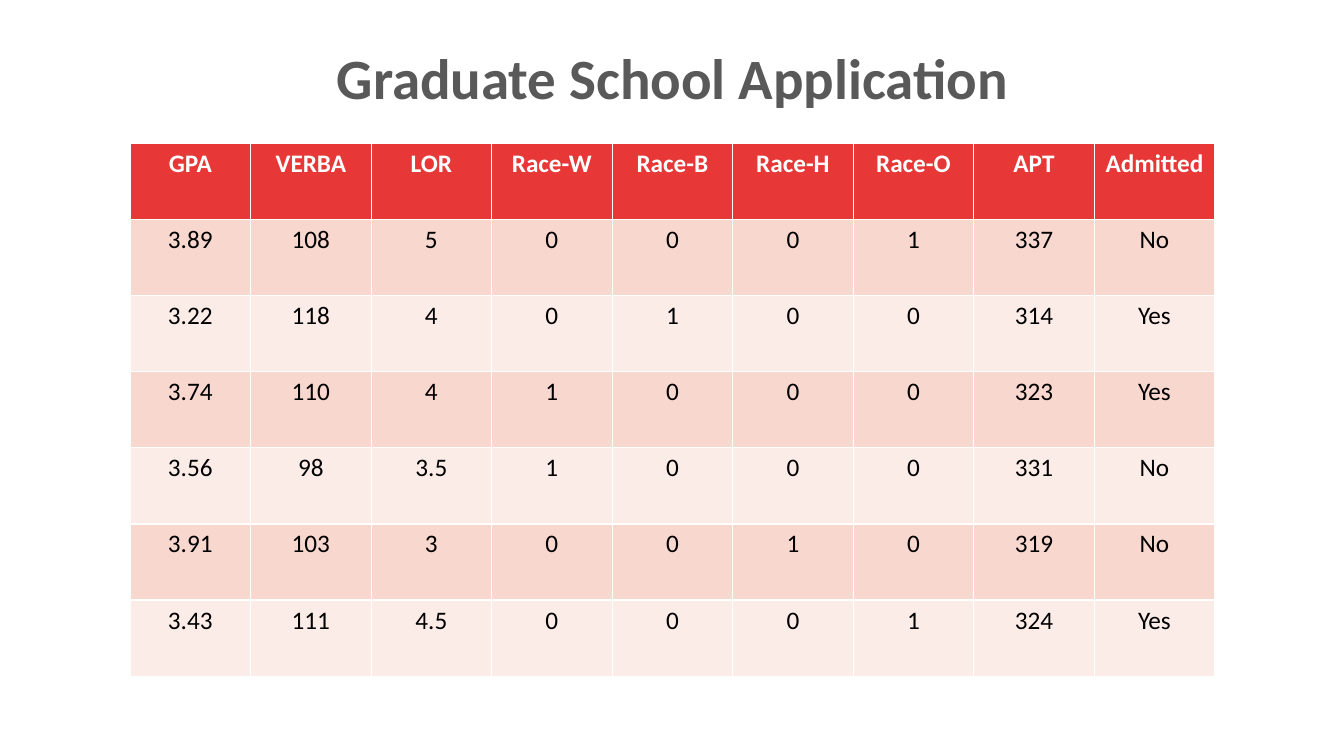
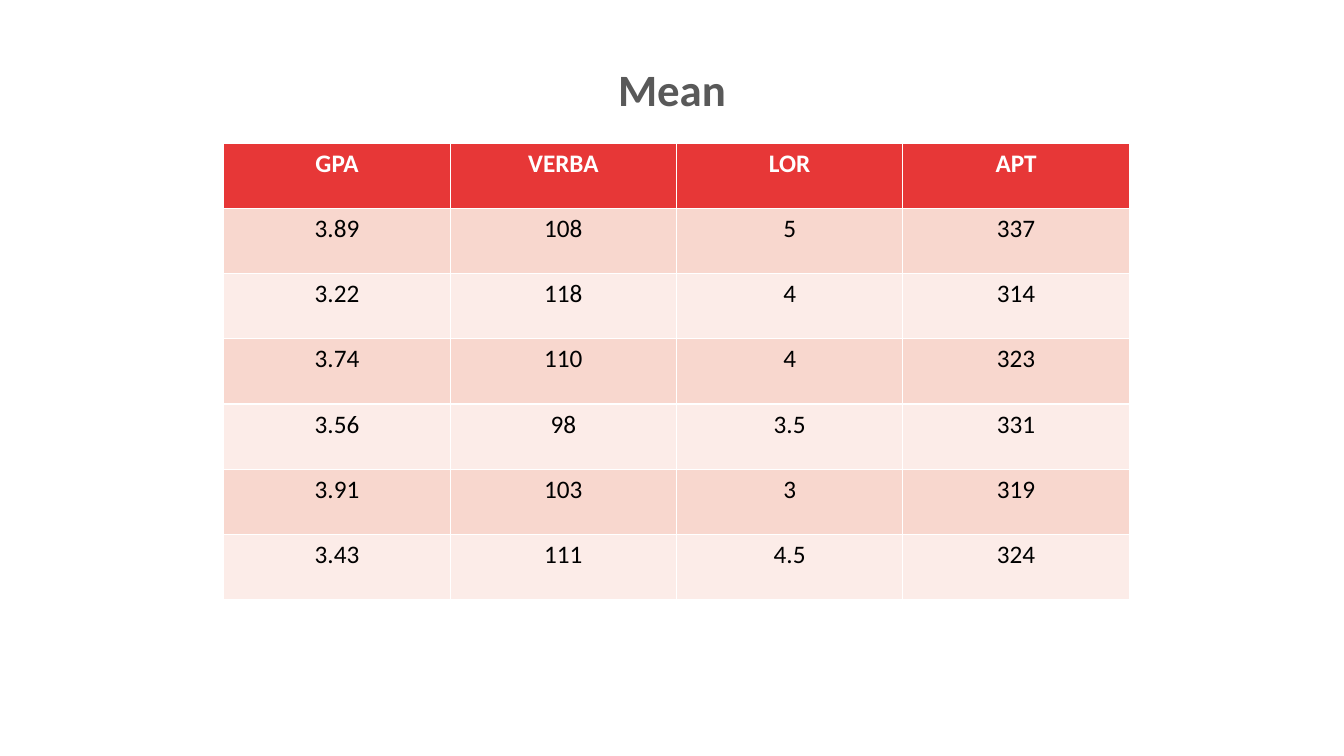
"""Build two slides of graduate school application data tables."""
from pptx import Presentation, util as u
from pptx.dml.color import RGBColor
from pptx.enum import text

HUES = {"title": "595959", "head": "E73737", "odd": "F8D7CE",
        "even": "FCECE8", "white": "FFFFFF", "black": "000000"}
FACE = "Calibri"
DATA = [
    ["GPA", "VERBA", "LOR", "Race-W", "Race-B", "Race-H", "Race-O", "APT", "Admitted"],
    ["3.89", "108", "5", "0", "0", "0", "1", "337", "No"],
    ["3.22", "118", "4", "0", "1", "0", "0", "314", "Yes"],
    ["3.74", "110", "4", "1", "0", "0", "0", "323", "Yes"],
    ["3.56", "98", "3.5", "1", "0", "0", "0", "331", "No"],
    ["3.91", "103", "3", "0", "0", "1", "0", "319", "No"],
    ["3.43", "111", "4.5", "0", "0", "0", "1", "324", "Yes"],
]
MEANS = ["GPA", "VERBA", "LOR", "APT"]
PAGES = [
    ("Graduate School Application", 40.7, (3.16, 0.2, 7.02, 1.2),
     DATA[0], (1.29, 1.42, 10.76, 5.29)),
    ("Mean", 32, (5.54, 0.59, 2.25, 0.64),
     MEANS, (2.22, 1.42, 8.98, 4.53)),
]


def style(para, size, hue, bold):
    """Centre a paragraph and set its font."""
    para.alignment = text.PP_ALIGN.CENTER
    font = para.font
    font.name, font.size, font.bold = FACE, u.Pt(size), bold
    font.color.rgb = RGBColor.from_string(HUES[hue])


deck = Presentation()
deck.slide_width, deck.slide_height = u.Inches(13.33), u.Inches(7.5)

for name, size, spot, heads, area in PAGES:
    slide = deck.slides.add_slide(deck.slide_layouts[5])
    title = slide.shapes.title
    title.left, title.top, title.width, title.height = map(u.Inches, spot)
    frame = title.text_frame
    frame.text = name
    frame.auto_size = text.MSO_AUTO_SIZE.NONE
    frame.vertical_anchor = text.MSO_ANCHOR.MIDDLE
    frame.paragraphs[0].line_spacing = 0.9
    style(frame.paragraphs[0], size, "title", True)

    table = slide.shapes.add_table(len(DATA), len(heads), *map(u.Inches, area)).table
    picks = [DATA[0].index(head) for head in heads]
    for r, row in enumerate(DATA):
        fill = "head" if r == 0 else "odd" if r % 2 else "even"
        for c, pick in enumerate(picks):
            cell = table.cell(r, c)
            cell.text = row[pick]
            cell.fill.solid()
            cell.fill.fore_color.rgb = RGBColor.from_string(HUES[fill])
            style(cell.text_frame.paragraphs[0], 18,
                  "black" if r else "white", r == 0)

deck.save("out.pptx")
